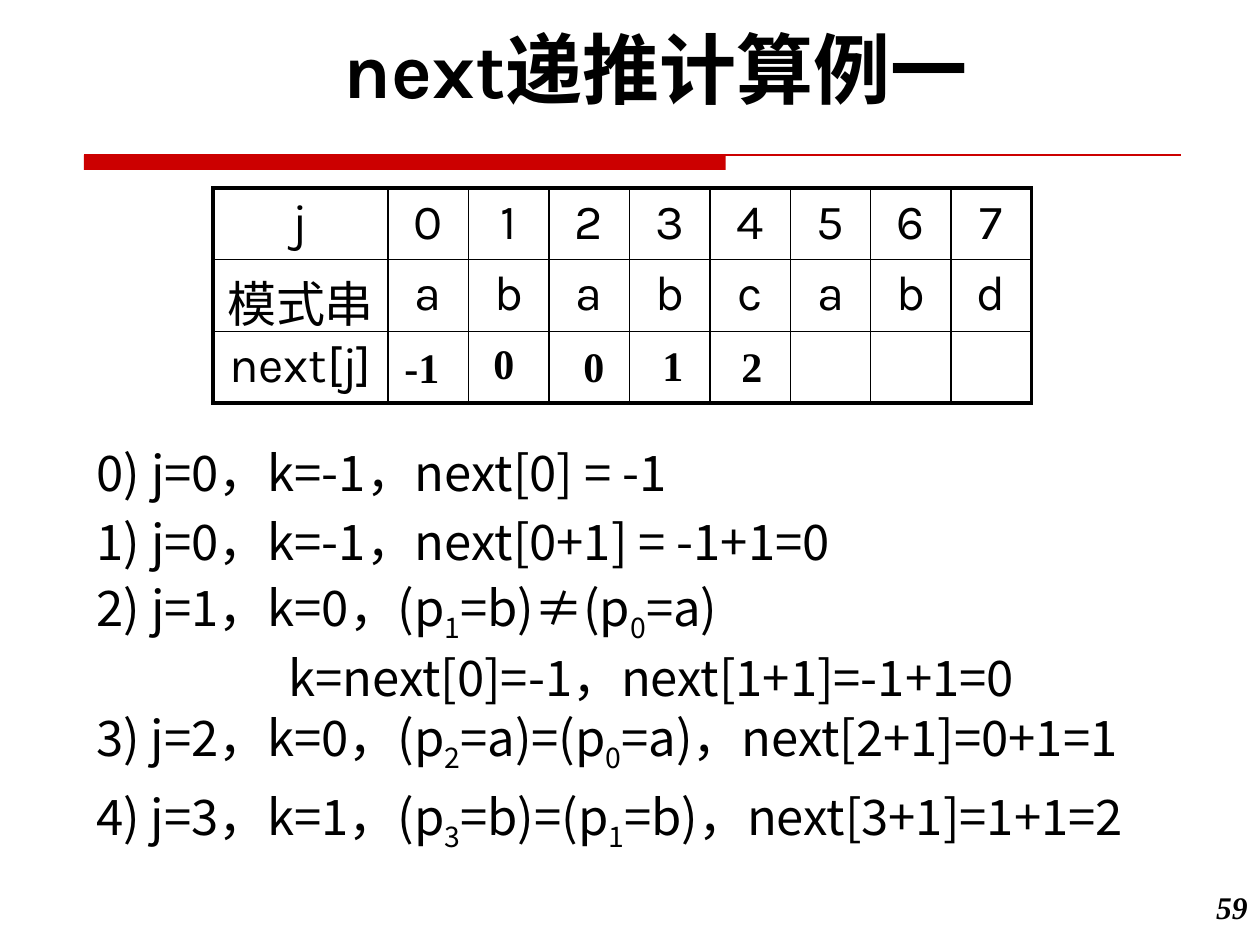
from lxml.etree import SubElement
from pptx import Presentation
from pptx.dml.color import RGBColor
from pptx.enum.shapes import MSO_CONNECTOR, MSO_SHAPE
from pptx.enum.text import MSO_ANCHOR, PP_ALIGN
from pptx.oxml.ns import qn
from pptx.util import Pt

PX = 914400 / 126
BLACK = RGBColor(0x00, 0x00, 0x00)
RED = RGBColor(0xCC, 0x00, 0x00)
LATIN, CJK, SERIF = "Karla", "Noto Sans CJK SC", "Times New Roman"

HEADER = ["j", *"01234567"]
PATTERN = ["模式串", *"ababcabd"]
NEXT_ROW = ["next[j]"] + [""] * 8
# Text, left, top and width
NEXT_VALUES = [("-1", 392, 335), ("0", 481, 331), ("0", 571, 334),
               ("1", 650, 333), ("2", 729, 334)]
# Text with subscripts between bars, left, top, width, indent
STEPS = [
    ("0) j=0，k=-1，next[0] = -1", 84, 436, 1012, 0),
    ("1) j=0，k=-1，next[0+1] = -1+1=0", 84, 505, 1012, 0),
    ("2) j=1，k=0，(p|1|=b)≠(p|0|=a)", 84, 571, 1012, 0),
    ("k=next[0]=-1，next[1+1]=-1+1=0", 105, 641, 1012, 171),
    ("3) j=2，k=0，(p|2|=a)=(p|0|=a)，next[2+1]=0+1=1", 84, 701, 1162, 0),
    ("4) j=3，k=1，(p|3|=b)=(p|1|=b)，next[3+1]=1+1=2", 84, 780, 1124, 0),
]


def px(n):
    return round(n * PX)


def write(tf, text, font=LATIN, size=28, bold=False, italic=False,
          align=PP_ALIGN.LEFT, spacing=None, indent=0):
    """Fill the first paragraph; every second part between bars is a subscript."""
    p = tf.paragraphs[0]
    p.alignment = align
    if spacing:
        p.line_spacing = spacing
    if indent:
        p._p.get_or_add_pPr().set("marL", str(px(indent)))
    for i, part in enumerate(text.split("|")):
        r = p.add_run()
        r.text = part
        f = r.font
        f.name, f.size, f.bold, f.italic = font, Pt(size), bold, italic
        f.color.rgb = BLACK
        SubElement(r._r.get_or_add_rPr(), qn("a:ea"), typeface=CJK)
        if i % 2:
            r._r.get_or_add_rPr().set("baseline", "-25000")


def add_text(slide, text, x, y, w, h, anchor=MSO_ANCHOR.TOP, **fmt):
    tf = slide.shapes.add_textbox(px(x), px(y), px(w), px(h)).text_frame
    tf.word_wrap = True
    tf.vertical_anchor = anchor
    write(tf, text, **fmt)


def add_rule(slide, x, y, w, h):
    """Thick bar over the left part of a thin line."""
    bar = slide.shapes.add_shape(MSO_SHAPE.RECTANGLE, px(x), px(y), px(w * 0.585), px(h))
    bar.shadow.inherit = False
    bar.fill.solid()
    bar.fill.fore_color.rgb = RED
    bar.line.fill.background()
    line = slide.shapes.add_connector(MSO_CONNECTOR.STRAIGHT, px(x), px(y), px(x + w), px(y))
    line.line.color.rgb = RED
    line.line.width = Pt(0.75)
    SubElement(line._element.spPr, qn("a:effectLst"))


def set_borders(cell, **widths):
    tcPr = cell._tc.get_or_add_tcPr()
    for i, (side, width) in enumerate(widths.items()):
        ln = tcPr.makeelement(qn(f"a:ln{side}"), {"w": str(Pt(width))})
        fill = SubElement(ln, qn("a:solidFill"))
        SubElement(fill, qn("a:srgbClr"), val=str(BLACK))
        tcPr.insert(i, ln)


def add_next_table(slide, x, y, w, h, first_w=175):
    rows = [HEADER, PATTERN, NEXT_ROW]
    n_rows, n_cols = len(rows), len(HEADER)
    table = slide.shapes.add_table(n_rows, n_cols, px(x), px(y), px(w), px(h)).table
    table.first_row = table.horz_banding = False
    for i, col in enumerate(table.columns):
        col.width = px((w - first_w) / (n_cols - 1) if i else first_w)
    for i, row in enumerate(rows):
        table.rows[i].height = px(h / n_rows)
        for j, text in enumerate(row):
            cell = table.cell(i, j)
            cell.fill.background()
            if text:
                write(cell.text_frame, text, align=PP_ALIGN.CENTER)
            set_borders(cell, L=1 if j else 2.25, R=2.25 if j == n_cols - 1 else 1,
                        T=1 if i else 2.25, B=2.25 if i == n_rows - 1 else 1)


def add_next_values(slide):
    for text, x, y in NEXT_VALUES:
        add_text(slide, text, x, y, 79, 63, font=SERIF, size=24, bold=True)


def add_steps(slide):
    for text, x, y, w, indent in STEPS:
        add_text(slide, text, x, y, w, 72, font=CJK, indent=indent)


def main():
    prs = Presentation()
    prs.slide_width, prs.slide_height = px(1260), px(945)
    slide = prs.slides.add_slide(prs.slide_layouts[6])
    add_rule(slide, 84, 155, 1097, 15)
    add_text(slide, "59", 1176, 882, 84, 63, font=SERIF, size=18, bold=True,
             italic=True, align=PP_ALIGN.RIGHT)
    add_text(slide, "next递推计算例一", 84, 21, 1144, 105, size=44, bold=True,
             align=PP_ALIGN.CENTER, spacing=0.9, anchor=MSO_ANCHOR.MIDDLE)
    add_next_table(slide, 213, 188, 819, 215)
    add_steps(slide)
    add_next_values(slide)
    prs.save("out.pptx")


if __name__ == "__main__":
    main()
